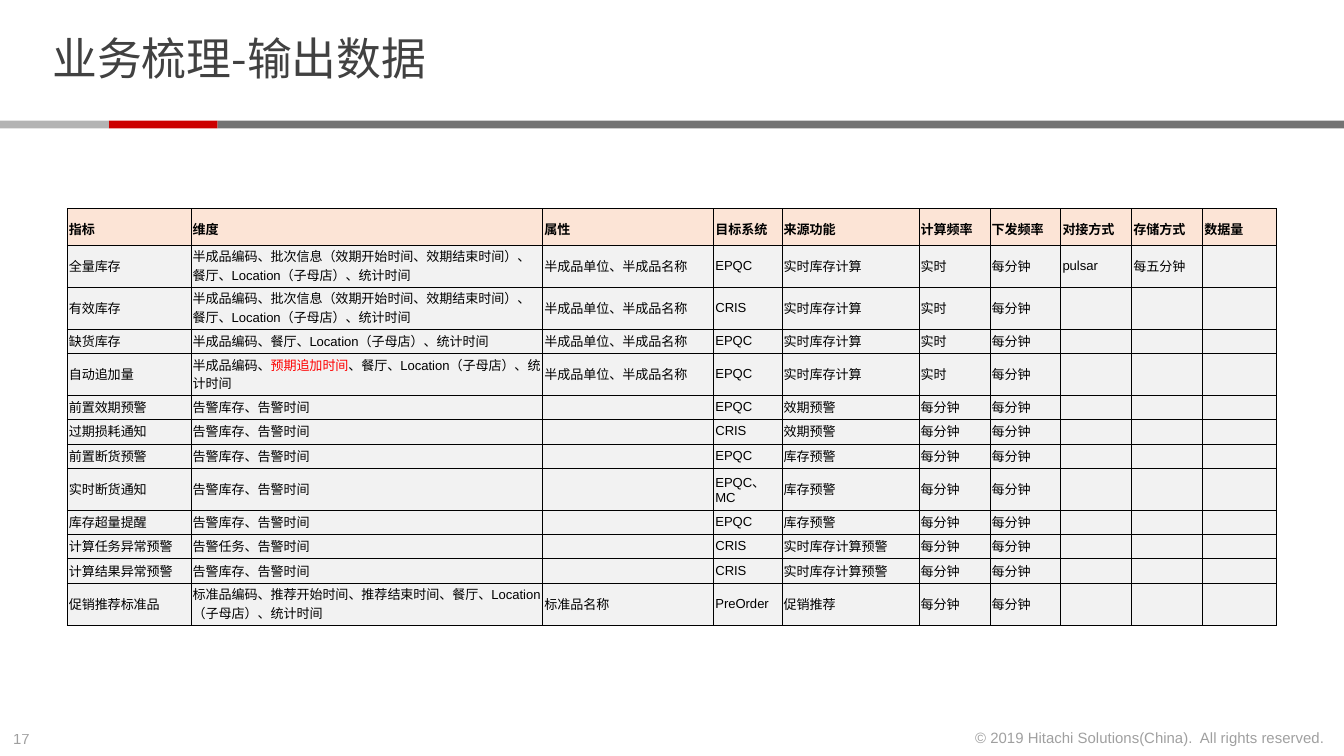
from lxml import etree
from pptx import Presentation
from pptx.dml.color import RGBColor
from pptx.enum.shapes import MSO_SHAPE
from pptx.enum.text import MSO_ANCHOR, MSO_AUTO_SIZE, PP_ALIGN
from pptx.oxml.ns import qn
from pptx.util import Cm, Pt

RECT = MSO_SHAPE.RECTANGLE
MIDDLE = MSO_ANCHOR.MIDDLE
NO_FIT = MSO_AUTO_SIZE.NONE
LEFT, RIGHT = PP_ALIGN.LEFT, PP_ALIGN.RIGHT
LATIN, CJK = "Arial", "Noto Sans CJK SC"
COLORS = {
    "text": "414141", "black": "000000", "alert": "FF0000",
    "light": "B3B3B3", "red": "CC0000", "dark": "737373",
    "header": "FCE4D6", "body": "F2F2F2",
}


def set_font(p, name, size, color, bold=False):
    """Set the Latin and East Asian fonts of a paragraph."""
    font = p.font
    font.size, font.bold = Pt(size), bold
    font.color.rgb = RGBColor.from_string(COLORS[color])
    font.name = name
    props = p._p.pPr.find(qn("a:defRPr"))
    etree.SubElement(props, qn("a:ea"), typeface=CJK)
    return props


def add_borders(cell):
    """Draw a thin black line on all four sides of a cell."""
    props = cell._tc.get_or_add_tcPr()
    for i, side in enumerate(("a:lnL", "a:lnR", "a:lnT", "a:lnB")):
        line = etree.Element(qn(side), w=str(Pt(0.5)))
        fill = etree.SubElement(line, qn("a:solidFill"))
        etree.SubElement(fill, qn("a:srgbClr"), val=COLORS["black"])
        props.insert(i, line)


prs = Presentation()
prs.slide_width, prs.slide_height = Cm(25.4), Cm(14.29)
s = prs.slides.add_slide(prs.slide_layouts[5])

# Title
title = s.shapes.title
title.left, title.top, title.width, title.height = Cm(0.74), Cm(0.15), Cm(19.58), Cm(2.03)
tf = title.text_frame
tf.text = "业务梳理-输出数据"
tf.auto_size = NO_FIT
tf.vertical_anchor = MIDDLE
tf.margin_left = tf.margin_right = Cm(0.25)
tf.margin_top = tf.margin_bottom = 0
p = tf.paragraphs[0]
p.alignment, p.line_spacing = LEFT, 0.85
set_font(p, CJK, 24, "text")

# Three-part rule under the title
for left, width, color in ((4.11, 21.29, "dark"), (2.06, 2.05, "red"), (0, 2.06, "light")):
    sp = s.shapes.add_shape(RECT, Cm(left), Cm(2.28), Cm(width), Cm(0.15))
    sp.shadow.inherit = False
    sp.fill.solid()
    sp.fill.fore_color.rgb = RGBColor.from_string(COLORS[color])
    sp.line.fill.background()

# Output data table
HEADERS = ("指标", "维度", "属性", "目标系统", "来源功能",
           "计算频率", "下发频率", "对接方式", "存储方式", "数据量")
BATCH = "半成品编码、批次信息（效期开始时间、效期结束时间）、餐厅、Location（子母店）、统计时间"
UNIT = "半成品单位、半成品名称"
STOCK_ALERT = "告警库存、告警时间"
CALC, CALC_ALERT = "实时库存计算", "实时库存计算预警"
LIVE, MINUTE = "实时", "每分钟"
# Bars enclose highlighted words
ROWS = (
    HEADERS,
    ("全量库存", BATCH, UNIT, "EPQC", CALC, LIVE, MINUTE, "pulsar", "每五分钟"),
    ("有效库存", BATCH, UNIT, "CRIS", CALC, LIVE, MINUTE),
    ("缺货库存", "半成品编码、餐厅、Location（子母店）、统计时间", UNIT, "EPQC", CALC, LIVE, MINUTE),
    ("自动追加量", "半成品编码、|预期追加时间|、餐厅、Location（子母店）、统计时间",
     UNIT, "EPQC", CALC, LIVE, MINUTE),
    ("前置效期预警", STOCK_ALERT, "", "EPQC", "效期预警", MINUTE, MINUTE),
    ("过期损耗通知", STOCK_ALERT, "", "CRIS", "效期预警", MINUTE, MINUTE),
    ("前置断货预警", STOCK_ALERT, "", "EPQC", "库存预警", MINUTE, MINUTE),
    ("实时断货通知", STOCK_ALERT, "", "EPQC、MC", "库存预警", MINUTE, MINUTE),
    ("库存超量提醒", STOCK_ALERT, "", "EPQC", "库存预警", MINUTE, MINUTE),
    ("计算任务异常预警", "告警任务、告警时间", "", "CRIS", CALC_ALERT, MINUTE, MINUTE),
    ("计算结果异常预警", STOCK_ALERT, "", "CRIS", CALC_ALERT, MINUTE, MINUTE),
    ("促销推荐标准品", "标准品编码、推荐开始时间、推荐结束时间、餐厅、Location（子母店）、统计时间",
     "标准品名称", "PreOrder", "促销推荐", MINUTE, MINUTE),
)
COL_WIDTHS = (2.34, 6.65, 3.23, 1.29, 2.59, 1.34, 1.34, 1.34, 1.34, 1.4)
TWO_LINE_ROWS = (1, 2, 4, 8, 12)
heights = [0.79 if i in TWO_LINE_ROWS else 0.46 for i in range(len(ROWS))]

table = s.shapes.add_table(len(ROWS), len(HEADERS), Cm(1.27), Cm(3.94),
                           Cm(sum(COL_WIDTHS)), Cm(sum(heights))).table
table.first_row = table.horz_banding = False
for column, width in zip(table.columns, COL_WIDTHS):
    column.width = Cm(width)

for i, (values, height) in enumerate(zip(ROWS, heights)):
    table.rows[i].height = Cm(height)
    header = i == 0
    for j in range(len(HEADERS)):
        cell = table.cell(i, j)
        cell.fill.solid()
        cell.fill.fore_color.rgb = RGBColor.from_string(COLORS["header" if header else "body"])
        add_borders(cell)
        cell.vertical_anchor = MIDDLE
        cell.margin_left = cell.margin_right = cell.margin_top = Cm(0.03)
        cell.margin_bottom = Cm(0.13 if header else 0.05)
        p = cell.text_frame.paragraphs[0]
        if header:
            p.line_spacing = 1.5
        set_font(p, LATIN, 7, "black", header)
        text = values[j] if j < len(values) else ""
        if not text:
            etree.SubElement(p._p, qn("a:endParaRPr"), sz="700")
            continue
        for k, part in enumerate(text.split("|")):
            r = p.add_run()
            r.text = part
            if k % 2:
                r.font.color.rgb = RGBColor.from_string(COLORS["alert"])

# Page number and copyright line
for text, left, top, width, align in (
    ("17", 0, 13.67, 0.86, LEFT),
    ("© 2019 Hitachi Solutions(China).\u00a0 All rights reserved.", 18.08, 13.64, 7.21, RIGHT),
):
    tf = s.shapes.add_textbox(Cm(left), Cm(top), Cm(width), Cm(0.6)).text_frame
    tf.word_wrap = False
    p = tf.paragraphs[0]
    p.text, p.alignment = text, align
    color = set_font(p, LATIN, 8, "text").find(qn("a:solidFill"))[0]
    etree.SubElement(color, qn("a:alpha"), val="50000")

prs.save("out.pptx")
